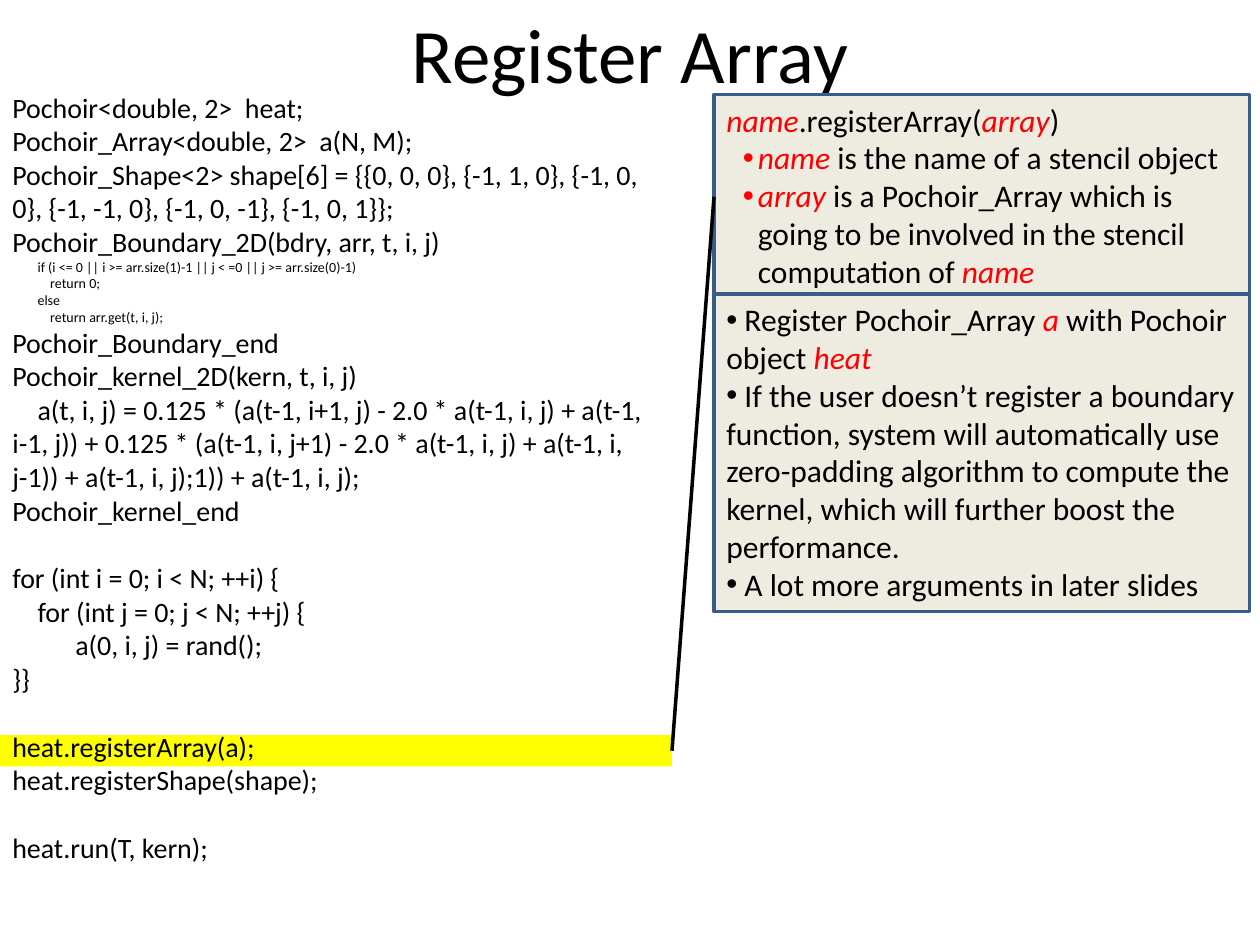
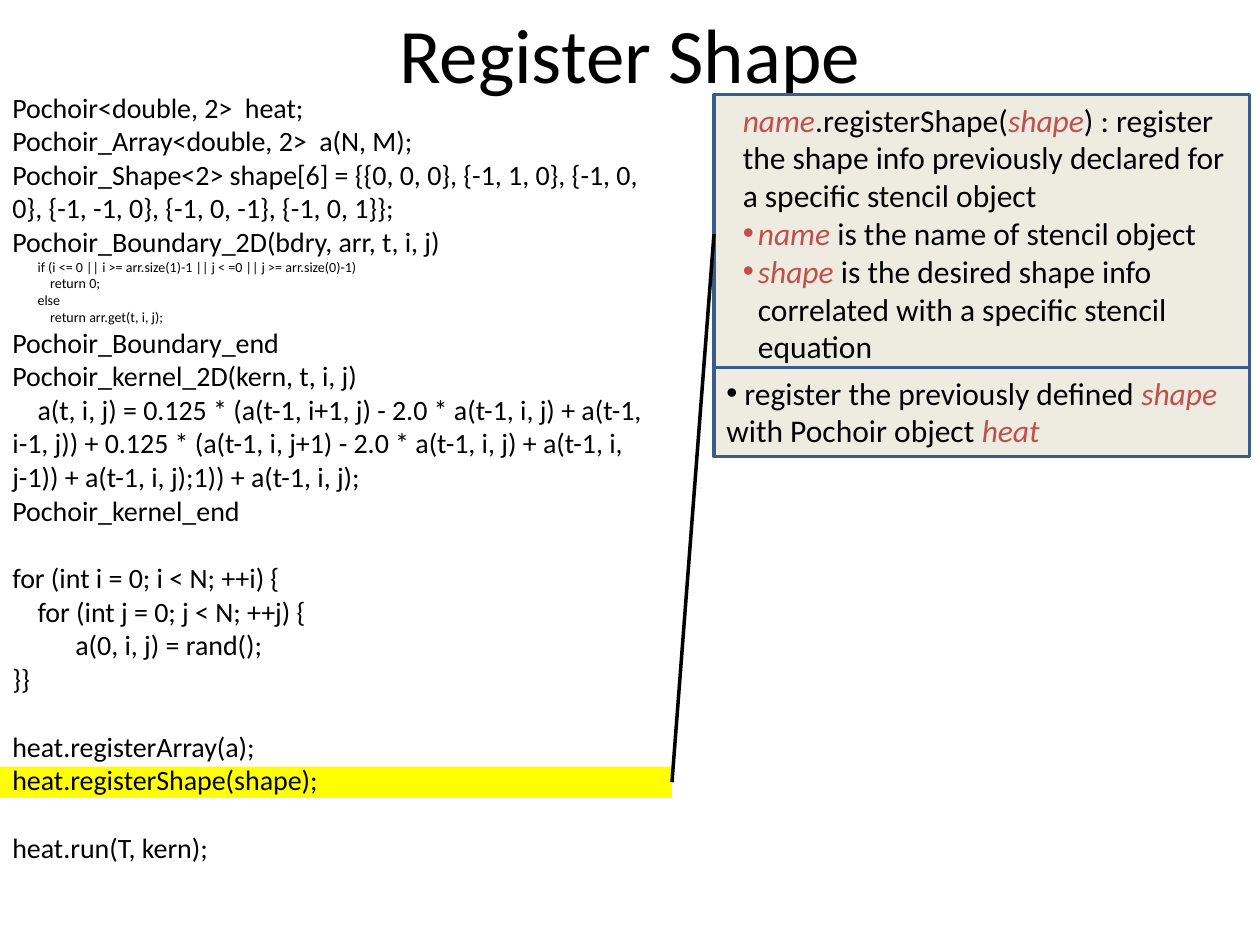
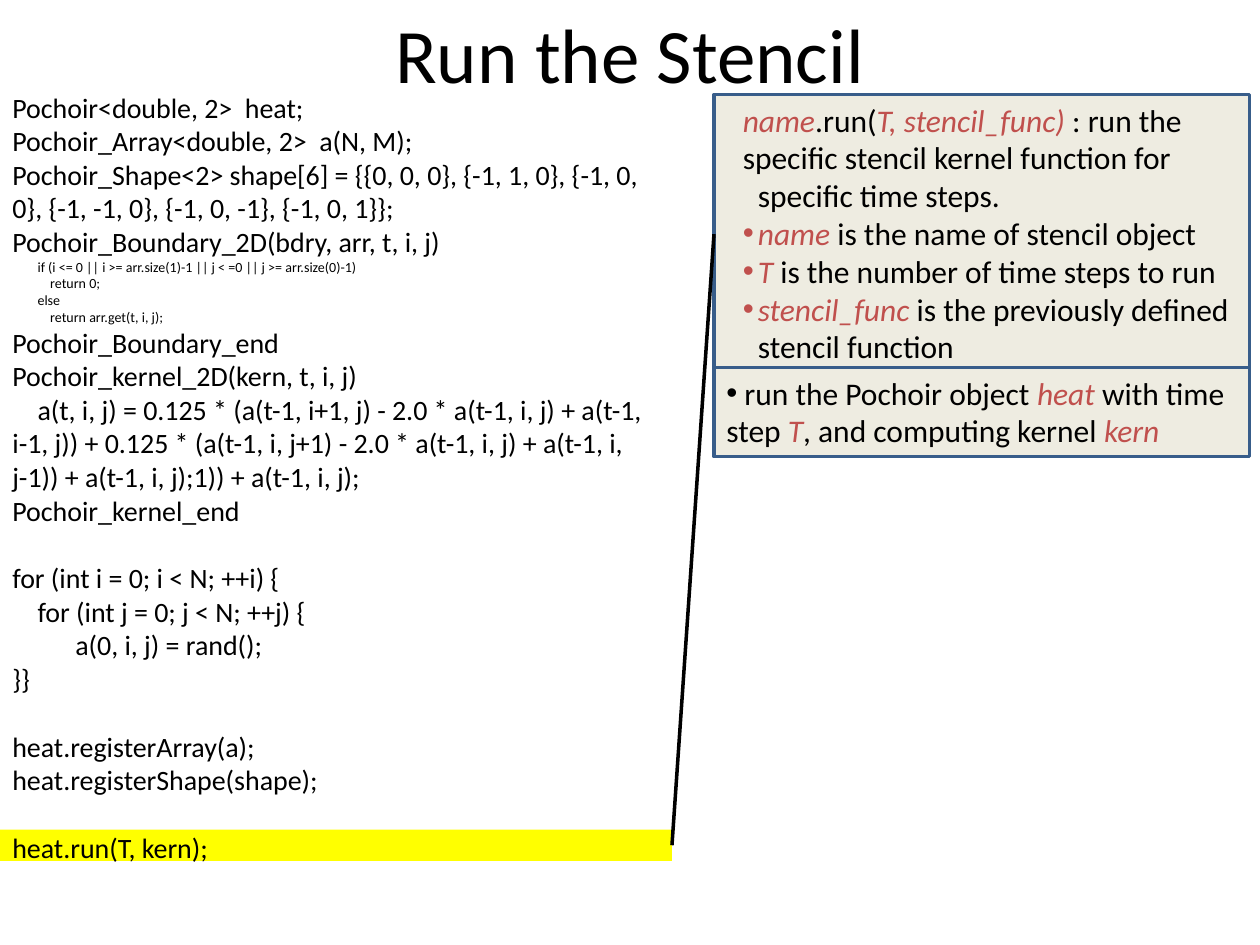
from dataclasses import dataclass

from lxml import etree
from pptx import Presentation
from pptx import util as u
from pptx.dml.color import RGBColor
from pptx.enum import shapes, text
from pptx.oxml.ns import qn


@dataclass(frozen=True)
class Theme:
    font: str = "Calibri"
    ink: str = "000000"
    highlight: str = "FFFF00"
    panel: str = "EEECE1"
    panel_edge: str = "385D8A"
    red: str = "FF0000"
    brick: str = "C0504D"
    title_size: float = 44
    note_size: float = 18
    code_size: float = 16
    small_size: float = 8
    line_width: float = 2


THEME = Theme()
WIDTH, HEIGHT = u.Inches(10), u.Inches(7.5)
COLUMNS, ROWS = 120, 90

# Boxes in grid units: column, row, columns wide, rows high
TITLE_BOX = (6, 0, 108, 10)
CODE_BOX = (0, 8, 65, 75.5)
HIGHLIGHT_WIDTH, HIGHLIGHT_HEIGHT = 64, 3
NOTES_LEFT, NOTES_TOP, NOTES_WIDTH = 68, 9, 51

# Code lines: text, size, first-line indent in inches, blank lines before
BIG, SMALL = THEME.code_size, THEME.small_size
BLANK_LINE = 19.5
CODE = [
    ("Pochoir<double, 2>  heat;", BIG, 0, 0),
    ("Pochoir_Array<double, 2>  a(N, M);", BIG, 0, 0),
    ("Pochoir_Shape<2> shape[6] = {{0, 0, 0}, {-1, 1, 0}, {-1, 0, 0}, "
     "{-1, -1, 0}, {-1, 0, -1}, {-1, 0, 1}};", BIG, 0, 0),
    ("Pochoir_Boundary_2D(bdry, arr, t, i, j)", BIG, 0, 0),
    ("if (i <= 0 || i >= arr.size(1)-1 || j < =0 || j >= arr.size(0)-1)", SMALL, 0.2, 0),
    ("return 0;", SMALL, 0.3, 0),
    ("else", SMALL, 0.2, 0),
    ("return arr.get(t, i, j);", SMALL, 0.3, 0),
    ("Pochoir_Boundary_end", BIG, 0, 0),
    ("Pochoir_kernel_2D(kern, t, i, j)", BIG, 0, 0),
    ("a(t, i, j) = 0.125 * (a(t-1, i+1, j) - 2.0 * a(t-1, i, j) + a(t-1, i-1, j)) "
     "+ 0.125 * (a(t-1, i, j+1) - 2.0 * a(t-1, i, j) + a(t-1, i, j-1)) "
     "+ a(t-1, i, j);1)) + a(t-1, i, j);", BIG, 0.2, 0),
    ("Pochoir_kernel_end", BIG, 0, 0),
    ("for (int i = 0; i < N; ++i) {", BIG, 0, 1),
    ("for (int j = 0; j < N; ++j) {", BIG, 0.2, 0),
    ("a(0, i, j) = rand();", BIG, 0.5, 0),
    ("}}", BIG, 0, 0),
    ("heat.registerArray(a);", BIG, 0, 1),
    ("heat.registerShape(shape);", BIG, 0, 0),
    ("heat.run(T, kern);", BIG, 0, 1),
]

# Note styles: level, left margin, first-line indent, bulleted
PLAIN = (0, 0, 0, False)
POINT = (0, 0, 0, True)
HANGING = (1, 0.25, -0.12, False)
SUBPOINT = (1, 0.25, -0.12, True)

# Terms between asterisks are set in the accent colour
STEPS = [
    dict(
        title="Register Array", accent=THEME.red, code_row=70,
        usage_height=19.5, detail_row=28, detail_height=30.25,
        usage=[
            (PLAIN, "*name*.registerArray(*array*)"),
            (SUBPOINT, "*name *is the name of a stencil object"),
            (SUBPOINT, "*array *is a Pochoir_Array which is going to be involved "
                       "in the stencil computation of *name*"),
        ],
        detail=[
            (POINT, " Register Pochoir_Array *a* with Pochoir object *heat*"),
            (POINT, " If the user doesn’t register a boundary function, system will "
                    "automatically use zero-padding algorithm to compute the kernel, "
                    "which will further boost the performance."),
            (POINT, " A lot more arguments in later slides"),
        ],
    ),
    dict(
        title="Register Shape", accent=THEME.brick, code_row=73,
        usage_height=26.6, detail_row=35, detail_height=8.5,
        usage=[
            (HANGING, "*name*.registerShape(*shape*) : register"),
            (HANGING, "the shape info previously declared for"),
            (HANGING, "a specific stencil object"),
            (SUBPOINT, "*name* is the name of stencil object"),
            (SUBPOINT, "*shape* is the desired shape info correlated with "
                       "a specific stencil equation"),
        ],
        detail=[
            (POINT, " register the previously defined *shape* with Pochoir object *heat*"),
        ],
    ),
    dict(
        title="Run the Stencil", accent=THEME.brick, code_row=79,
        usage_height=26.6, detail_row=35, detail_height=8.5,
        usage=[
            (HANGING, "*name*.run(*T, stencil_func)* : run the"),
            (HANGING, "specific stencil kernel function for specific time steps."),
            (SUBPOINT, "*name* is the name of stencil object"),
            (SUBPOINT, "*T *is the number of time steps to run"),
            (SUBPOINT, "*stencil_func* is the previously defined stencil function"),
        ],
        detail=[
            (POINT, " run the Pochoir object *heat *with time step *T*, "
                    "and computing kernel *kern*"),
        ],
    ),
]


def grid(column, row, columns, rows):
    """Turn a box in grid units into slide lengths."""
    return (round(WIDTH * column / COLUMNS), round(HEIGHT * row / ROWS),
            round(WIDTH * columns / COLUMNS), round(HEIGHT * rows / ROWS))


def add_run(paragraph, words, size, color=THEME.ink, italic=False):
    run = paragraph.add_run()
    run.text = words
    run.font.name, run.font.size, run.font.italic = THEME.font, u.Pt(size), italic
    run.font.color.rgb = RGBColor.from_string(color)


def next_paragraph(frame, index):
    paragraph = frame.add_paragraph() if index else frame.paragraphs[0]
    paragraph.alignment = text.PP_ALIGN.LEFT
    return paragraph


def indent(paragraph, margin, first_line, bulleted=False):
    properties = paragraph._p.get_or_add_pPr()
    properties.set("marL", str(u.Inches(margin)))
    properties.set("indent", str(u.Inches(first_line)))
    if bulleted:
        etree.SubElement(properties, qn("a:buFont"), typeface="Arial")
        etree.SubElement(properties, qn("a:buChar"), char="•")
    else:
        etree.SubElement(properties, qn("a:buNone"))


def add_rectangle(slide, box, fill):
    rectangle = slide.shapes.add_shape(shapes.MSO_SHAPE.RECTANGLE, *grid(*box))
    rectangle.shadow.inherit = False
    rectangle.fill.solid()
    rectangle.fill.fore_color.rgb = RGBColor.from_string(fill)
    rectangle.line.fill.background()
    return rectangle


def draw_line(line, color):
    line.fill.solid()
    line.fill.fore_color.rgb = RGBColor.from_string(color)
    line.width = u.Pt(THEME.line_width)


def set_title(slide, box, words):
    title = slide.shapes.title
    title.left, title.top, title.width, title.height = grid(*box)
    frame = title.text_frame
    frame.auto_size = text.MSO_AUTO_SIZE.NONE
    frame.vertical_anchor = text.MSO_ANCHOR.MIDDLE
    frame.paragraphs[0].alignment = text.PP_ALIGN.CENTER
    add_run(frame.paragraphs[0], words, THEME.title_size)


def add_code(slide, box):
    frame = slide.shapes.add_textbox(*grid(*box)).text_frame
    frame.word_wrap = True
    for index, (words, size, first_line, blanks) in enumerate(CODE):
        paragraph = next_paragraph(frame, index)
        paragraph.space_before = u.Pt(blanks * BLANK_LINE)
        indent(paragraph, 0, first_line)
        add_run(paragraph, words, size)


def add_notes(slide, box, notes, accent):
    panel = add_rectangle(slide, box, THEME.panel)
    draw_line(panel.line, THEME.panel_edge)
    frame = panel.text_frame
    frame.word_wrap = True
    frame.auto_size = text.MSO_AUTO_SIZE.SHAPE_TO_FIT_TEXT
    frame.vertical_anchor = text.MSO_ANCHOR.TOP
    for index, (style, words) in enumerate(notes):
        level, margin, first_line, bulleted = style
        paragraph = next_paragraph(frame, index)
        paragraph.level = level
        indent(paragraph, margin, first_line, bulleted)
        for part, piece in enumerate(words.split("*")):
            is_term = part % 2 == 1
            if piece:
                add_run(paragraph, piece, THEME.note_size,
                        accent if is_term else THEME.ink, is_term)
    return panel


def join(slide, code_line, usage):
    """Link the right side of the code line to the left side of its usage."""
    link = slide.shapes.add_connector(shapes.MSO_CONNECTOR.STRAIGHT, 0, 0, 0, 0)
    link.begin_connect(code_line, 3)
    link.end_connect(usage, 1)
    draw_line(link.line, THEME.ink)
    etree.SubElement(link._element.spPr, qn("a:effectLst"))


def add_step(deck, step):
    slide = deck.slides.add_slide(deck.slide_layouts.get_by_name("Title Only"))
    set_title(slide, TITLE_BOX, step["title"])

    # Code listing with its highlighted line
    code_line = add_rectangle(
        slide, (0, step["code_row"], HIGHLIGHT_WIDTH, HIGHLIGHT_HEIGHT), THEME.highlight)
    add_code(slide, CODE_BOX)

    # Usage and details of the highlighted call
    usage_box = (NOTES_LEFT, NOTES_TOP, NOTES_WIDTH, step["usage_height"])
    detail_box = (NOTES_LEFT, step["detail_row"], NOTES_WIDTH, step["detail_height"])
    usage = add_notes(slide, usage_box, step["usage"], step["accent"])
    join(slide, code_line, usage)
    add_notes(slide, detail_box, step["detail"], step["accent"])


def main():
    deck = Presentation()
    deck.slide_width, deck.slide_height = WIDTH, HEIGHT
    for step in STEPS:
        add_step(deck, step)
    deck.save("out.pptx")


if __name__ == "__main__":
    main()
